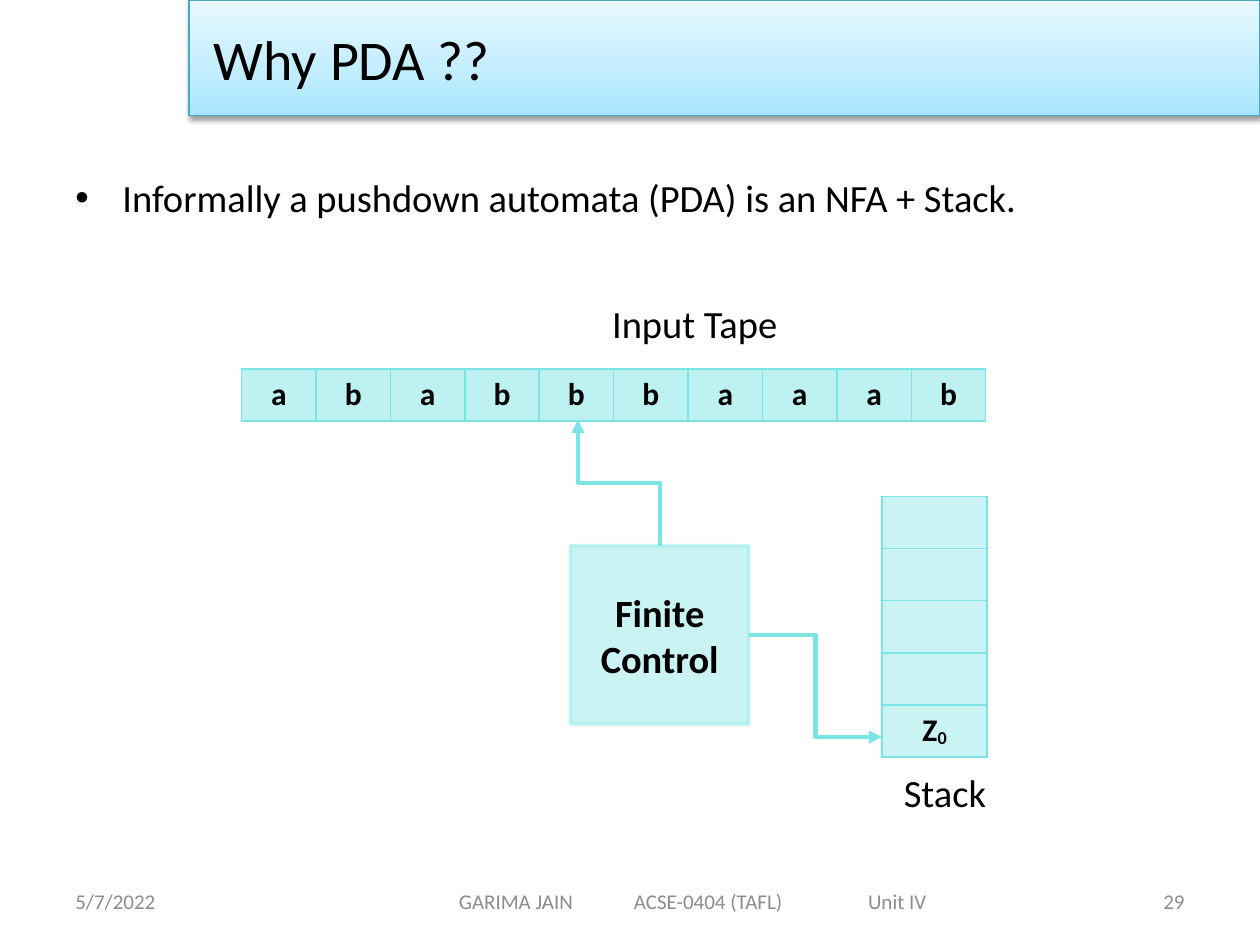
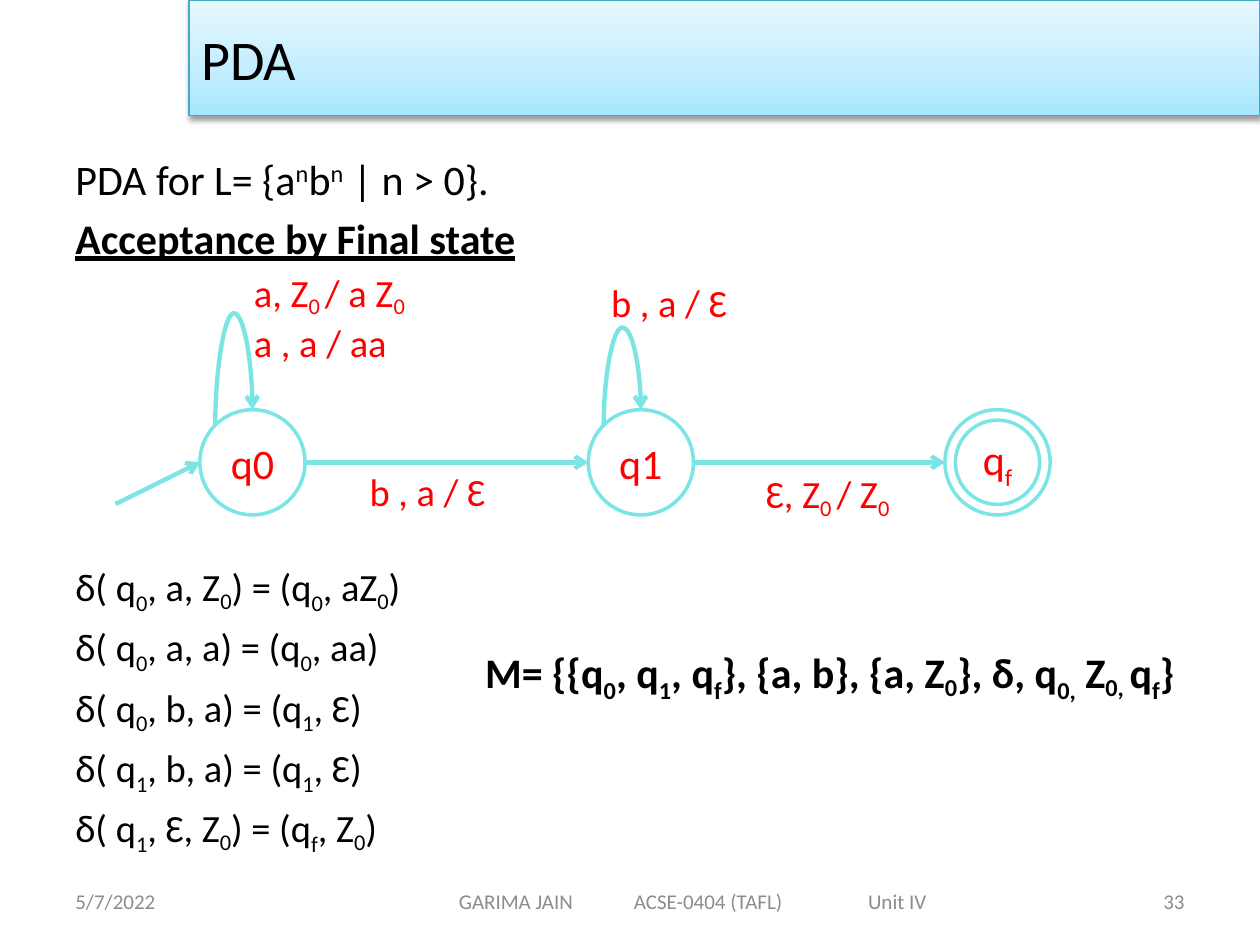
"""Build two slides on pushdown automata: the machine model and a state diagram."""
from lxml import etree
from pptx import Presentation
from pptx.dml.color import RGBColor
from pptx.enum.shapes import MSO_CONNECTOR, MSO_SHAPE
from pptx.enum.text import MSO_ANCHOR, PP_ALIGN
from pptx.oxml import parse_xml
from pptx.oxml.ns import nsdecls, qn
from pptx.util import Cm, Pt

BLACK = RGBColor(0x00, 0x00, 0x00)
RED = RGBColor(0xFF, 0x00, 0x00)
GREY = RGBColor(0x8C, 0x8C, 0x8C)
AQUA = RGBColor(0x7B, 0xE5, 0xE5)
BAND_LINE = RGBColor(0x46, 0xAA, 0xC5)
BAND_STOPS = [
    (0, RGBColor(0xA7, 0xE6, 0xFF)),
    (35, RGBColor(0xC1, 0xED, 0xFF)),
    (100, RGBColor(0xE7, 0xF8, 0xFF)),
]
FONT = "Calibri"
LEFT, CENTER, RIGHT = PP_ALIGN.LEFT, PP_ALIGN.CENTER, PP_ALIGN.RIGHT
MIDDLE = MSO_ANCHOR.MIDDLE
RECT, OVAL = MSO_SHAPE.RECTANGLE, MSO_SHAPE.OVAL
STRAIGHT, ELBOW, CURVE = MSO_CONNECTOR.STRAIGHT, MSO_CONNECTOR.ELBOW, MSO_CONNECTOR.CURVE


def write(tf, lines, size, color=BLACK, bold=False, align=LEFT, shift=None, gap=0):
    """Fill a frame; within a line, every second part between ~ marks is sub- or superscript."""
    tf.word_wrap = True
    for i, line in enumerate(lines):
        p = tf.add_paragraph() if i else tf.paragraphs[0]
        p.alignment = align
        if i and gap:
            p.space_before = Pt(gap)
        parts = line.split("~")
        for j, part in enumerate(parts):
            if not part:
                continue
            r = p.add_run()
            r.text = part
            r.font.name, r.font.size, r.font.bold = FONT, Pt(size), bold
            r.font.color.rgb = color
            if j % 2:
                base = shift or (-20 if parts[j - 1].endswith("Z") else -25)
                r._r.get_or_add_rPr().set("baseline", str(base * 1000))


def add_arrow(s, kind, x1, y1, x2, y2, head, turn=0, bend=None):
    """Draw an arrow, turned by whole degrees, with its bend in percent of its length."""
    cn = s.shapes.add_connector(kind, Cm(x1), Cm(y1), Cm(x2), Cm(y2))
    cn.line.color.rgb = AQUA
    cn.line.width = Pt(2.5)
    etree.SubElement(cn.line._get_or_add_ln(), qn("a:tailEnd"), type=head)
    sppr = cn._element.spPr
    etree.SubElement(sppr, qn("a:effectLst"))
    if turn:
        sppr.find(qn("a:xfrm")).set("rot", str(turn * 60000))
    if bend:
        guides = sppr.find(qn("a:prstGeom")).get_or_add_avLst()
        etree.SubElement(guides, qn("a:gd"), name="adj1", fmla=f"val {bend * 1000}")


prs = Presentation()
prs.slide_width, prs.slide_height = Cm(25.4), Cm(19.05)
slides = []

for title, number, indent in [("Why PDA ??", "29", 0.5), ("PDA", "33", 0.25)]:
    s = prs.slides.add_slide(prs.slide_layouts[6])
    slides.append(s)
    band = s.shapes.add_shape(RECT, Cm(3.81), 0, Cm(21.59), Cm(2.33))
    band.fill.gradient()
    band.fill.gradient_angle = 90
    stops = band._element.spPr.find(".//" + qn("a:gsLst"))
    for old in list(stops):
        stops.remove(old)
    for pos, color in BAND_STOPS:
        gs = etree.SubElement(stops, qn("a:gs"), pos=str(pos * 1000))
        etree.SubElement(gs, qn("a:srgbClr"), val=str(color))
    band.line.color.rgb = BAND_LINE
    band.line.width = Pt(0.75)
    band.shadow.inherit = False
    band._element.spPr.find(qn("a:effectLst")).append(parse_xml(
        f'<a:outerShdw {nsdecls("a")} blurRad="40000" dist="20000" dir="5400000" rotWithShape="0">'
        '<a:srgbClr val="000000"><a:alpha val="38000"/></a:srgbClr></a:outerShdw>'))
    tf = band.text_frame
    tf.margin_left = Cm(indent)
    tf.vertical_anchor = MIDDLE
    write(tf, [title], 32)

    for x, w, text, align in [
        (1.27, 5.93, "5/7/2022", LEFT),
        (9, 12, "GARIMA JAIN\tACSE-0404 (TAFL)\tUnit IV", LEFT),
        (18.2, 5.93, number, RIGHT),
    ]:
        tf = s.shapes.add_textbox(Cm(x), Cm(17.66), Cm(w), Cm(1.01)).text_frame
        tf.vertical_anchor = MIDDLE
        if "\t" in text:
            tabs = etree.SubElement(tf.paragraphs[0]._p.get_or_add_pPr(), qn("a:tabLst"))
            for pos in (3.53, 8.25):
                etree.SubElement(tabs, qn("a:tab"), pos=str(Cm(pos)), algn="l")
        write(tf, [text], 12, GREY, align=align)

model, diagram = slides

tf = model.shapes.add_textbox(Cm(1.27), Cm(3.39), Cm(22.66), Cm(1.3)).text_frame
ppr = tf.paragraphs[0]._p.get_or_add_pPr()
ppr.set("marL", str(Cm(0.95)))
ppr.set("indent", str(-Cm(0.95)))
etree.SubElement(ppr, qn("a:buFont"), typeface="Arial")
etree.SubElement(ppr, qn("a:buChar"), char="•")
write(tf, ["Informally a pushdown automata (PDA) is an NFA + Stack."], 22)

tape = [list("ababbbaaab")]
stack = [[""], [""], [""], [""], ["Z~0"]]
for rows, x, y, col_w, alpha in [(tape, 4.87, 7.44, 1.5, 49), (stack, 17.78, 10.01, 2.12, 40)]:
    row_h = 1.05
    n, m = len(rows), len(rows[0])
    table = model.shapes.add_table(n, m, Cm(x), Cm(y), Cm(col_w * m), Cm(row_h * n)).table
    table.first_row = table.horz_banding = False
    for i, row in enumerate(rows):
        table.rows[i].height = Cm(row_h)
        for j, text in enumerate(row):
            table.columns[j].width = Cm(col_w)
            cell = table.cell(i, j)
            cell.fill.solid()
            cell.fill.fore_color.rgb = AQUA
            tcpr = cell._tc.tcPr
            clr = tcpr.find(".//" + qn("a:srgbClr"))
            etree.SubElement(clr, qn("a:alpha"), val=str(alpha * 1000))
            for k, side in enumerate("LRTB"):
                tcpr.insert(k, parse_xml(
                    f'<a:ln{side} {nsdecls("a")} w="12700"><a:solidFill>'
                    f'<a:srgbClr val="{AQUA}"/></a:solidFill></a:ln{side}>'))
            write(cell.text_frame, [text], 18, bold=True, align=CENTER, shift=-12)

for x, y, w, text, align in [(12.09, 5.92, 5.4, "Input Tape", LEFT), (17.57, 15.37, 2.96, "Stack", CENTER)]:
    tf = model.shapes.add_textbox(Cm(x), Cm(y), Cm(w), Cm(1.19)).text_frame
    write(tf, [text], 22, align=align)

control = model.shapes.add_shape(RECT, Cm(11.5), Cm(11), Cm(3.6), Cm(3.6))
control.fill.solid()
control.fill.fore_color.rgb = AQUA
control.line.color.rgb = AQUA
control.line.width = Pt(2)
control.shadow.inherit = False
for clr in control._element.spPr.iter(qn("a:srgbClr")):
    etree.SubElement(clr, qn("a:alpha"), val="40000")
control.text_frame.vertical_anchor = MIDDLE
write(control.text_frame, ["Finite Control"], 22, bold=True, align=CENTER)

add_arrow(model, ELBOW, 11.21, 10.57, 13.75, 8.91, "triangle", turn=270)
add_arrow(model, ELBOW, 15.1, 12.8, 17.78, 14.86, "triangle")

tf = diagram.shapes.add_textbox(Cm(1.27), Cm(2.97), Cm(22.86), Cm(2.6)).text_frame
write(tf, ["PDA for L= {a~n~b~n~ | n > 0}.", "Acceptance by Final state"], 24, shift=30, gap=4.8)
heading = tf.paragraphs[1].runs[0]
heading.font.bold = heading.font.underline = True

d, top = 2.12, 8.26
mid = top + d / 2
q0_x, q1_x, qf_x = 4.03, 11.86, 19.05
rim = 0.21
for x, y, size, name in [
    (q0_x, top, d, "q0"),
    (q1_x, top, d, "q1"),
    (qf_x, top, d, "q~f"),
    (qf_x + rim, top + rim, d - 2 * rim, ""),
]:
    sp = diagram.shapes.add_shape(OVAL, Cm(x), Cm(y), Cm(size), Cm(size))
    sp.fill.background()
    sp.line.color.rgb = AQUA
    sp.line.width = Pt(2)
    sp.shadow.inherit = False
    if name:
        sp.text_frame.vertical_anchor = MIDDLE
        write(sp.text_frame, [name], 24, RED, align=CENTER)

add_arrow(diagram, STRAIGHT, 2.33, 10.16, q0_x, mid, "arrow")
for x1, x2 in [(q0_x, q1_x), (q1_x, qf_x)]:
    add_arrow(diagram, STRAIGHT, x1 + d, mid, x2, mid, "arrow")
for x, bend in [(q0_x, 728), (q1_x, 635)]:
    add_arrow(diagram, CURVE, x + 0.84, top + 0.53, x + 0.53, top - 0.22, "arrow", turn=90, bend=bend)

for x, y, lines in [
    (4.87, 5.29, ["a, Z~0 ~/ a Z~0", "a , a / aa"]),
    (7.2, 9.31, ["b , a / Ɛ"]),
    (12.07, 5.5, ["b , a / Ɛ"]),
    (15.19, 9.35, ["Ɛ, Z~0 ~/ Z~0"]),
]:
    tf = diagram.shapes.add_textbox(Cm(x), Cm(y), Cm(3.81), Cm(1.19 * len(lines))).text_frame
    write(tf, lines, 22, RED)

tf = diagram.shapes.add_textbox(Cm(1.27), Cm(11.23), Cm(8), Cm(6.2)).text_frame
write(tf, [
    "δ( q~0~, a, Z~0~) = (q~0~, aZ~0~)",
    "δ( q~0~, a, a) = (q~0~, aa)",
    "δ( q~0~, b, a) = (q~1~, Ɛ)",
    "δ( q~1~, b, a) = (q~1~, Ɛ)",
    "δ( q~1~, Ɛ, Z~0~) = (q~f~, Z~0~)",
], 22, gap=4.4)

tf = diagram.shapes.add_textbox(Cm(9.53), Cm(12.91), Cm(15.03), Cm(1.28)).text_frame
write(tf, ["M= {{q~0~, q~1~, q~f~}, {a, b}, {a, Z~0~}, δ, q~0,~ Z~0, ~q~f~}"], 24, bold=True)

prs.save("out.pptx")
